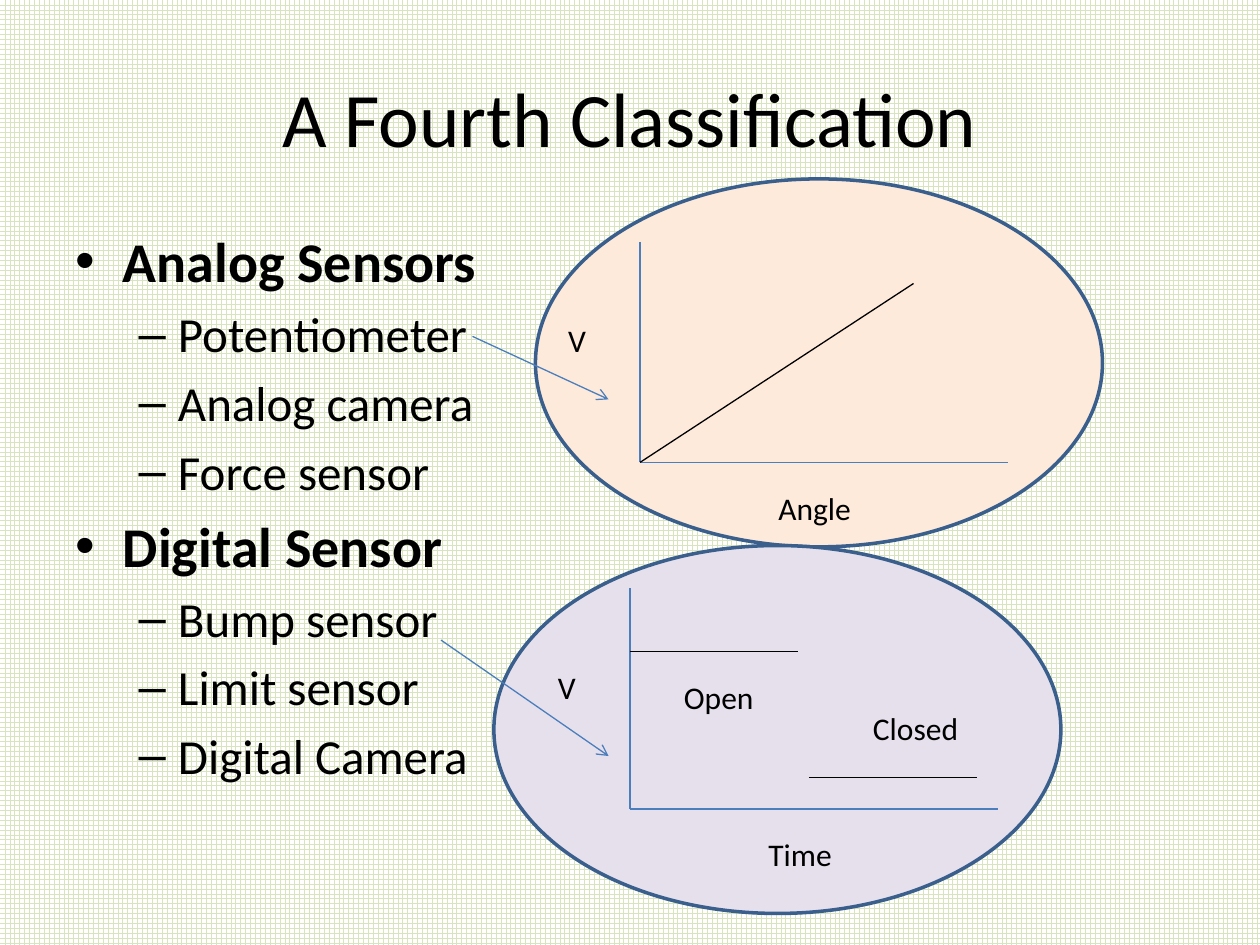
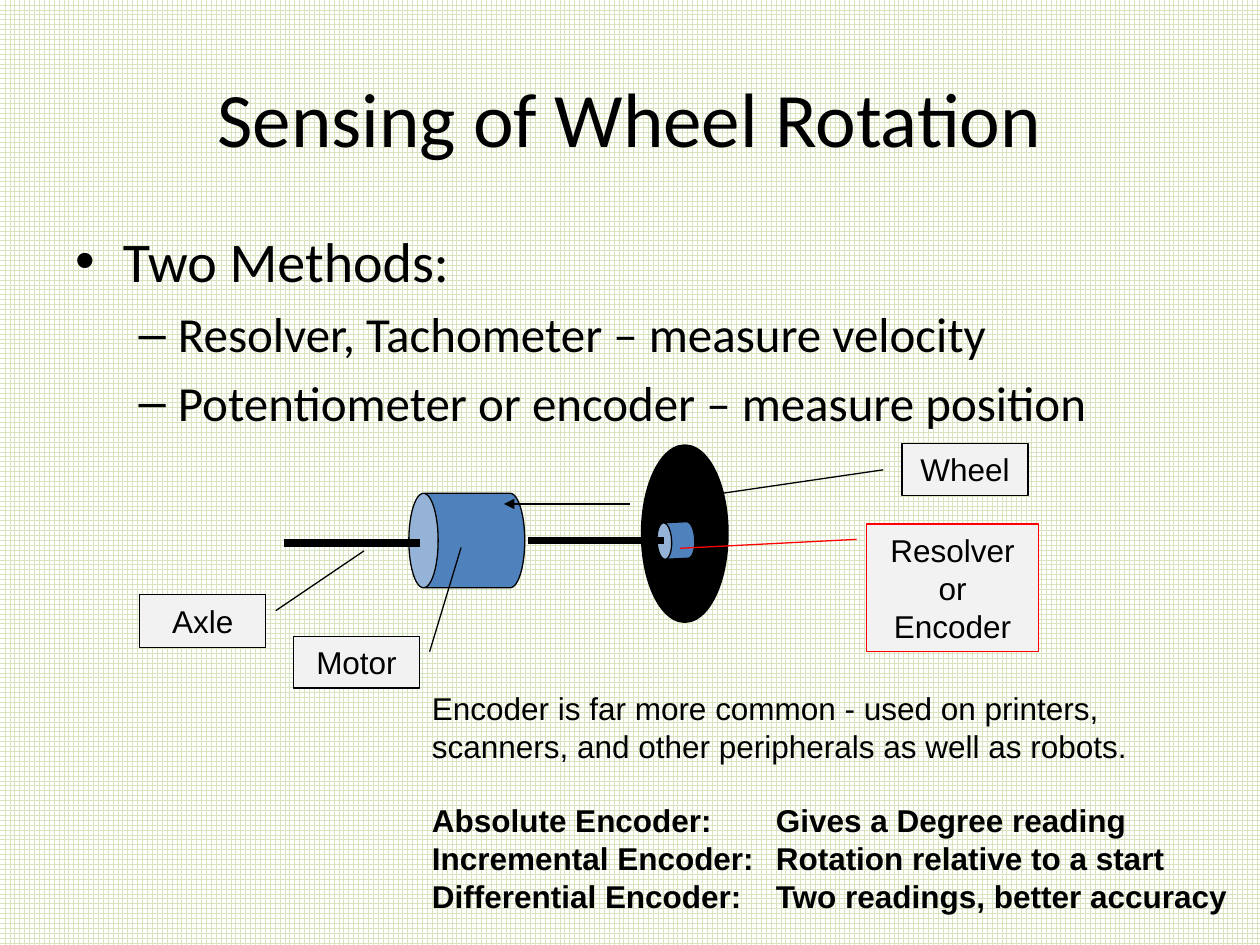
"""Build two slides on sensor classification and wheel rotation sensing."""
from dataclasses import dataclass

from lxml import etree
from pptx import Presentation
from pptx.dml.color import RGBColor
from pptx.enum.dml import MSO_PATTERN
from pptx.enum.shapes import MSO_CONNECTOR, MSO_SHAPE
from pptx.enum.text import MSO_ANCHOR, MSO_AUTO_SIZE, PP_ALIGN
from pptx.oxml.ns import qn
from pptx.util import Inches, Pt

CAN, ELLIPSE, CALLOUT = MSO_SHAPE.CAN, MSO_SHAPE.OVAL, MSO_SHAPE.LINE_CALLOUT_1
STRAIGHT = MSO_CONNECTOR.STRAIGHT
CENTER, MIDDLE = PP_ALIGN.CENTER, MSO_ANCHOR.MIDDLE
GROW = MSO_AUTO_SIZE.SHAPE_TO_FIT_TEXT
GRID = MSO_PATTERN.LARGE_GRID


@dataclass(frozen=True)
class Theme:
    """Colours, fonts and point sizes shared by the slides."""

    ink: str = "000000"
    paper: str = "FFFFFF"
    grid: str = "D7E4BD"
    analog: str = "FDEADA"
    digital: str = "E6E0EC"
    outline: str = "3A5F8C"
    axis: str = "4B7EBC"
    metal: str = "4F81BD"
    label: str = "F2F2F2"
    alert: str = "FF0000"
    body_font: str = "Calibri"
    note_font: str = "Arial"
    title_size: int = 44
    level_sizes: tuple = (32, 28)
    label_size: int = 18
    thin: float = 0.75
    medium: float = 2
    thick: float = 4.5


THEME = Theme()


def rgb(value):
    """Turn a hex string into a colour."""
    return RGBColor.from_string(value)


def write(paragraph, text, *, size=THEME.label_size, font=THEME.body_font, bold=False, align=None):
    """Put formatted text into a paragraph."""
    run = paragraph.add_run()
    run.text = text
    run.font.size = Pt(size)
    run.font.name = font
    run.font.bold = bold
    run.font.color.rgb = rgb(THEME.ink)
    if align is not None:
        paragraph.alignment = align


def paragraphs(frame, count):
    """Return the given number of paragraphs in an empty text frame."""
    return [frame.paragraphs[0]] + [frame.add_paragraph() for _ in range(count - 1)]


def place(item, left, top, width, height):
    """Move and size an element in inches."""
    item.left, item.top = Inches(left), Inches(top)
    item.width, item.height = Inches(width), Inches(height)


def add_slide(deck, title, items):
    """Add a titled slide with a list of (level, text, bold) items."""
    slide = deck.slides.add_slide(deck.slide_layouts[1])
    heading, body = slide.shapes.title, slide.placeholders[1]
    place(heading, 0.5, 0.3, 9, 1.25)
    place(body, 0.5, 1.75, 9, 4.95)
    heading.text_frame.vertical_anchor = MIDDLE
    write(heading.text_frame.paragraphs[0], title, size=THEME.title_size, align=CENTER)
    for paragraph, (level, text, bold) in zip(paragraphs(body.text_frame, len(items)), items):
        paragraph.level = level
        write(paragraph, text, size=THEME.level_sizes[level], bold=bold)
    return slide


def style_line(line, color, width):
    """Set the colour and width of a line."""
    line.color.rgb = rgb(color)
    line.width = Pt(width)


def add_arrowhead(item, kind):
    """Put an arrowhead at the end of a line."""
    outline = item._element.spPr.find(qn("a:ln"))
    etree.SubElement(outline, qn("a:tailEnd"), type=kind)


def add_line(slide, start, end, color=THEME.ink, width=THEME.thin, head=None):
    """Draw a straight line between two points."""
    line = slide.shapes.add_connector(STRAIGHT, *map(Inches, (*start, *end)))
    style_line(line.line, color, width)
    if head:
        add_arrowhead(line, head)
    etree.SubElement(line._element.spPr, qn("a:effectLst"))


def add_figure(slide, kind, box, fill, line=THEME.ink, width=THEME.thin, turn=0, adjust=()):
    """Draw a filled preset shape."""
    figure = slide.shapes.add_shape(kind, *map(Inches, box))
    figure.shadow.inherit = False
    figure.fill.solid()
    figure.fill.fore_color.rgb = rgb(fill)
    style_line(figure.line, line, width)
    figure.rotation = turn
    for index, value in enumerate(adjust):
        figure.adjustments[index] = value
    return figure


def add_callout(slide, lines, box, pointer, line=THEME.ink):
    """Draw a boxed label with a pointer line."""
    callout = add_figure(slide, CALLOUT, box, THEME.label, line, adjust=pointer)
    for paragraph, text in zip(paragraphs(callout.text_frame, len(lines)), lines):
        write(paragraph, text, font=THEME.note_font, align=CENTER)


def add_text_box(slide, left, top, width, height):
    """Add an unwrapped text box and return its frame."""
    frame = slide.shapes.add_textbox(*map(Inches, (left, top, width, height))).text_frame
    frame.word_wrap = False
    frame.auto_size = GROW
    return frame


def add_label(slide, text, left, top, width):
    """Add a one-line label."""
    write(add_text_box(slide, left, top, width, 0.4).paragraphs[0], text)


def add_axes(slide, left, top, quantity, quantity_width):
    """Draw voltage axes whose horizontal axis shows a quantity."""
    origin = (left, top + 1.75)
    add_line(slide, (left, top), origin, THEME.axis)
    add_line(slide, origin, (left + 2.92, top + 1.75), THEME.axis)
    add_label(slide, "V", left - 0.67, top + 0.58, 0.35)
    add_label(slide, quantity, left + 1, top + 1.91, quantity_width)


def bezier(start, first, second, end, steps=12):
    """Return points along a cubic curve, without its start."""
    curve = []
    for step in range(1, steps + 1):
        t = step / steps
        weights = ((1 - t) ** 3, 3 * t * (1 - t) ** 2, 3 * t * t * (1 - t), t ** 3)
        curve.append(tuple(
            sum(weight * value for weight, value in zip(weights, axis))
            for axis in zip(start, first, second, end)
        ))
    return curve


def add_rotation_arrow(slide):
    """Draw the curved arrow around the wheel axle."""
    start, crest, end = (4.89, 4.41), (4.7, 3.98), (4.41, 4.17)
    curve = bezier(start, (4.83, 4.22), (4.78, 4.02), crest)
    curve += bezier(crest, (4.62, 3.94), (4.46, 4.14), end)
    builder = slide.shapes.build_freeform(*start, scale=Inches(1))
    builder.add_line_segments(curve, close=False)
    arrow = builder.convert_to_shape()
    arrow.shadow.inherit = False
    arrow.fill.background()
    style_line(arrow.line, THEME.ink, THEME.thin)
    add_arrowhead(arrow, "triangle")


def add_encoder_notes(slide):
    """Write the remarks on encoders with a tabbed second column."""
    remarks = (
        "Encoder is far more common - used on printers,",
        "scanners, and other peripherals as well as robots.",
    )
    encoders = (
        ("Absolute Encoder:", "Gives a Degree reading"),
        ("Incremental Encoder:", "Rotation relative to a start"),
        ("Differential Encoder:", "Two readings, better accuracy"),
    )
    frame = add_text_box(slide, 3.33, 5.42, 6.53, 1.9)
    rows = paragraphs(frame, len(remarks) + len(encoders))
    for paragraph, remark in zip(rows, remarks):
        write(paragraph, remark, font=THEME.note_font)
    encoder_rows = rows[len(remarks):]
    encoder_rows[0].space_before = Pt(21)
    for paragraph, encoder in zip(encoder_rows, encoders):
        write(paragraph, "\t".join(encoder), font=THEME.note_font, bold=True)
        tabs = etree.SubElement(paragraph._p.get_or_add_pPr(), qn("a:tabLst"))
        etree.SubElement(tabs, qn("a:tab"), pos=str(Inches(2.73)), algn="l")


def build_classification(deck):
    """Build the slide on analog and digital sensors."""
    slide = add_slide(deck, "A Fourth Classification", (
        (0, "Analog Sensors", True),
        (1, "Potentiometer", False),
        (1, "Analog camera", False),
        (1, "Force sensor", False),
        (0, "Digital Sensor", True),
        (1, "Bump sensor", False),
        (1, "Limit sensor", False),
        (1, "Digital Camera", False),
    ))
    for left, top, fill in ((4.25, 1.42, THEME.analog), (3.92, 4.33, THEME.digital)):
        add_figure(slide, ELLIPSE, (left, top, 4.5, 2.92), fill, THEME.outline, THEME.medium)
    add_axes(slide, 5.08, 1.92, "Angle", 0.78)
    add_line(slide, (5.08, 3.67), (7.25, 2.25))
    add_axes(slide, 5, 4.67, "Time", 0.71)
    for left, level in ((5, 5.17), (6.42, 6.17)):
        add_line(slide, (left, level), (left + 1.33, level))
    add_label(slide, "Open", 5.33, 5.33, 0.76)
    add_label(slide, "Closed", 6.83, 5.58, 0.89)
    for start, end in (((3.75, 2.67), (4.83, 3.17)), ((3.5, 5.08), (4.83, 6))):
        add_line(slide, start, end, THEME.axis, head="arrow")


def build_wheel_rotation(deck):
    """Build the slide on sensing wheel rotation."""
    slide = add_slide(deck, "Sensing of Wheel Rotation", (
        (0, "Two Methods:", False),
        (1, "Resolver, Tachometer – measure velocity", False),
        (1, "Potentiometer or encoder – measure position", False),
    ))
    add_figure(slide, ELLIPSE, (5.1, 3.54, 0.67, 1.39), THEME.ink, width=THEME.medium)
    add_figure(slide, CAN, (5.22, 4.14, 0.29, 0.3), THEME.metal, turn=267.3, adjust=(0.4,))
    add_figure(slide, CAN, (3.33, 3.83, 0.75, 0.92), THEME.metal, turn=270, adjust=(0.31,))
    for left, level in ((2.25, 4.31), (4.19, 4.29)):
        add_line(slide, (left, level), (left + 1.08, level), width=THEME.thick)
    add_rotation_arrow(slide)
    add_callout(slide, ("Motor",), (2.33, 5.05, 1, 0.41), (0.3, 1.08, -1.72, 1.33))
    add_callout(slide, ("Axle",), (1.11, 4.72, 1, 0.42), (0.3, 1.08, -0.83, 1.78))
    add_callout(slide, ("Resolver", "or", "Encoder"), (6.88, 4.16, 1.36, 1.01),
                (0.12, -0.06, 0.19, -1.09), THEME.alert)
    add_callout(slide, ("Wheel",), (7.16, 3.52, 1, 0.41), (0.51, -0.15, 0.99, -1.5))
    add_encoder_notes(slide)


def main():
    """Build and save the deck."""
    deck = Presentation()
    deck.slide_width, deck.slide_height = Inches(10), Inches(7.5)
    backdrop = deck.slide_master.background.fill
    backdrop.patterned()
    backdrop.pattern = GRID
    backdrop.fore_color.rgb = rgb(THEME.grid)
    backdrop.back_color.rgb = rgb(THEME.paper)
    build_classification(deck)
    build_wheel_rotation(deck)
    deck.save("out.pptx")


if __name__ == "__main__":
    main()
